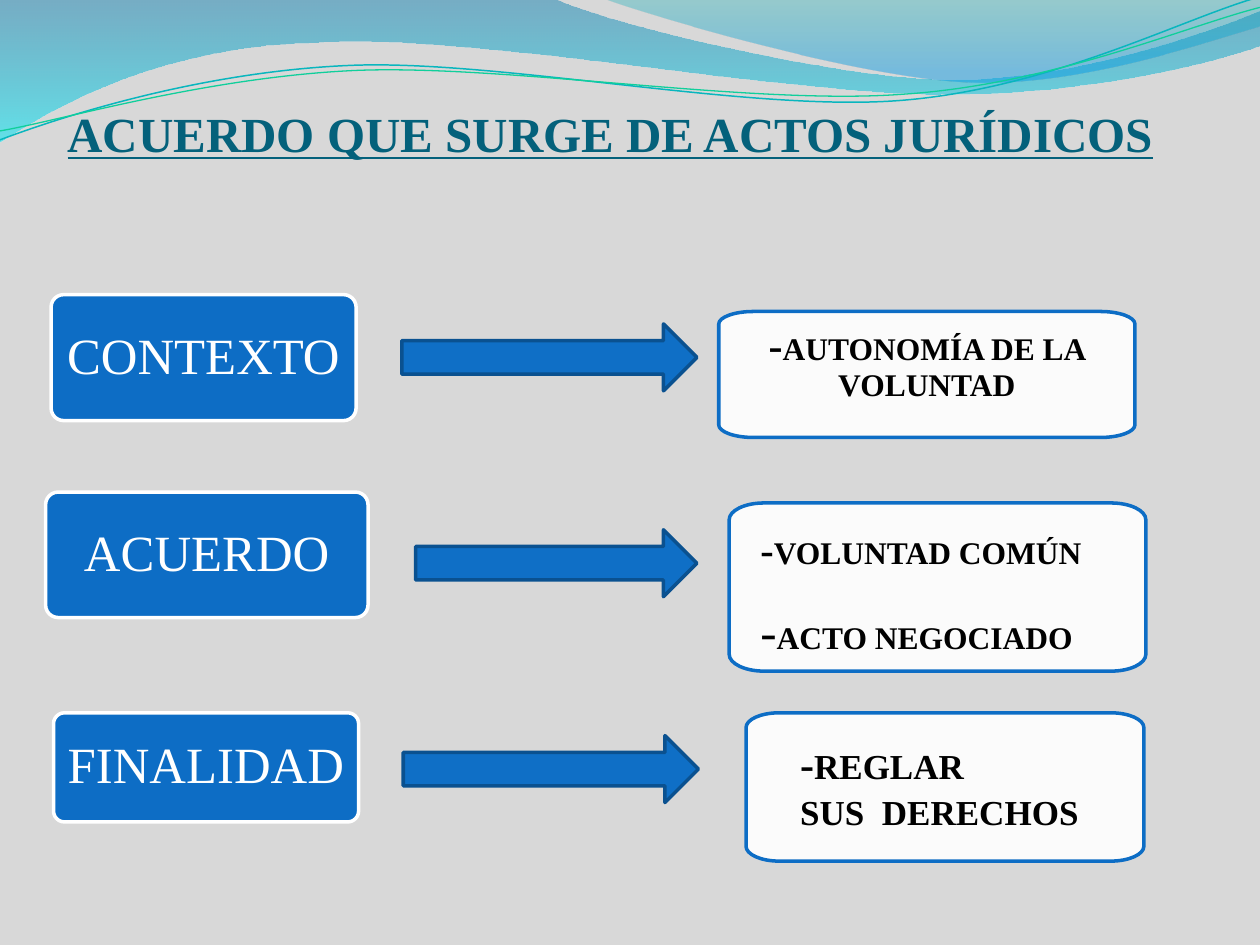
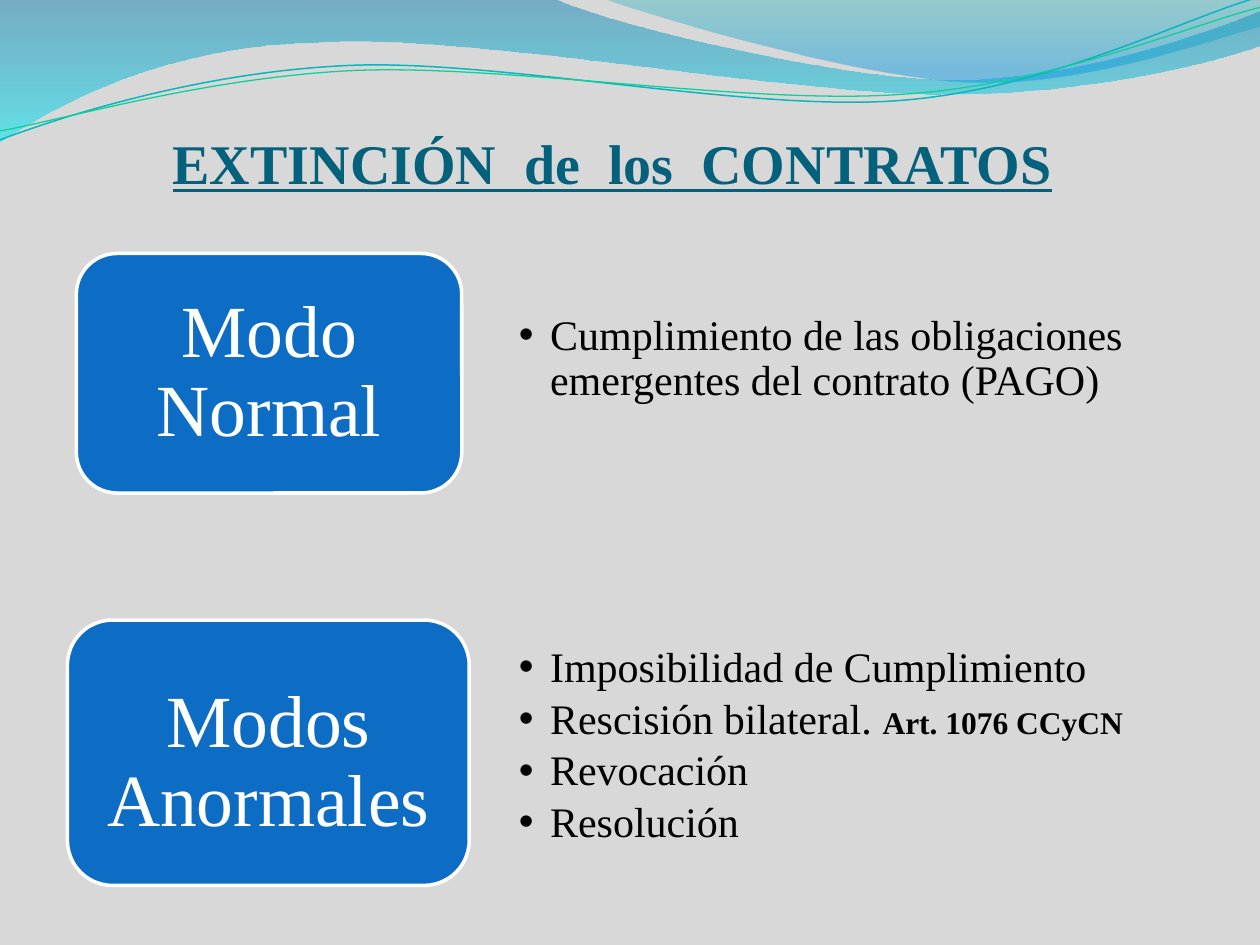
from dataclasses import dataclass

from lxml.etree import SubElement
from pptx import Presentation
from pptx.dml.color import RGBColor
from pptx.enum.shapes import MSO_SHAPE
from pptx.enum.text import MSO_ANCHOR, MSO_AUTO_SIZE, PP_ALIGN
from pptx.oxml.ns import qn
from pptx.util import Cm, Pt


@dataclass(frozen=True)
class Theme:
    font: str = "Times New Roman"
    background: str = "D8D8D8"
    title: str = "04617B"
    label: str = "0D6DC5"
    arrow: str = "0F6FC6"
    arrow_edge: str = "0A5190"
    white: str = "FFFFFF"
    text: str = "000000"
    edge: float = 2
    agreement_title: float = 28
    extinction_title: float = 32
    concept: float = 29
    mode: float = 42
    item: float = 24
    reference: float = 18
    goal: float = 20


THEME = Theme()


def trace_curves(shapes, start, segments, closed=True):
    """Draw an outline in cm; a segment is one point (line) or three (Bézier)."""
    builder = shapes.build_freeform(Cm(start[0]), Cm(start[1]))
    builder.add_line_segments(
        [(Cm(x), Cm(y)) for segment in segments for x, y in segment], close=closed)
    shape = builder.convert_to_shape()
    shape.shadow.inherit = False
    outline = next(shape.element.spPr.iter(qn("a:path")))
    steps = iter(outline.findall(qn("a:lnTo")))
    for segment in segments:
        taken = [next(steps) for _ in segment]
        if len(taken) == 3:
            curve = SubElement(outline, qn("a:cubicBezTo"))
            taken[0].addprevious(curve)
            for step in taken:
                curve.append(step[0])
                outline.remove(step)
    return shape


def write_runs(paragraph, runs, color, align=PP_ALIGN.LEFT, spacing=0.9, before=0):
    """Fill a paragraph with (text, size, bold) runs."""
    paragraph.alignment = align
    paragraph.line_spacing = spacing
    paragraph.space_before = Pt(before)
    for text, size, bold in runs:
        run = paragraph.add_run()
        run.text = text
        run.font.name = THEME.font
        run.font.size = Pt(size)
        run.font.bold = bold
        run.font.color.rgb = RGBColor.from_string(color)


prs = Presentation()
prs.slide_width, prs.slide_height = Cm(25.4), Cm(19.05)
master = prs.slide_master
master.background.fill.solid()
master.background.fill.fore_color.rgb = RGBColor.from_string(THEME.background)
agreement = prs.slides.add_slide(prs.slide_layouts.get_by_name("Title Only"))
extinction = prs.slides.add_slide(prs.slide_layouts.get_by_name("Two Content"))

# Waves shared through the master: start, segments, gradient stops or line
bands = [
    ((0, 0), [
        ((11.18, -0.02),),
        ((12.09, 0.43), (16.87, 1.6), (19.25, 1.6)),
        ((21.67, 1.6), (24.33, 0.66), (25.4, 0.23)),
        ((25.43, 0.91),),
        ((24.97, 1.12), (22.1, 1.93), (18.95, 1.9)),
        ((15.8, 1.9), (9.7, 0.71), (6.53, 0.86)),
        ((3.28, 0.91), (1.17, 2.11), (-0.02, 2.87)),
    ], [(0, "0079AD", 45), (1, "00E9F7", 55)]),
    ((12.17, -0.02), [
        ((12.93, 0.28), (17.32, 1.57), (19.53, 1.65)),
        ((21.74, 1.75), (24.41, 0.81), (25.4, 0.53)),
        ((25.4, 0),),
    ], [(0, "00ABB4", 30), (0.8, "0099E4", 45)]),
]
strands = [
    ((0, 2.82), [
        ((1.22, 2.36), (4.01, 1.45), (7.04, 1.32)),
        ((10.03, 1.19), (15.06, 2.26), (18.11, 2.03)),
        ((21.16, 1.8), (23.83, 0.38), (25.35, -0.05)),
    ], "09B6BE", 0.85),
    ((0, 2.64), [
        ((1.19, 2.44), (4.17, 1.55), (7.19, 1.42)),
        ((10.24, 1.3), (15.16, 2.13), (18.21, 1.9)),
        ((21.23, 1.7), (23.9, 0.53), (25.4, 0.15)),
    ], "10CF9B", 0.75),
]
waves = []
for start, segments, stops in bands:
    band = trace_curves(agreement.shapes, start, segments)
    band.line.fill.background()
    band.fill.gradient()
    band.fill.gradient_angle = 270
    for stop, (position, color, _) in zip(band.fill.gradient_stops, stops):
        stop.position = position
        stop.color.rgb = RGBColor.from_string(color)
    tints = list(band.element.spPr.iter(qn("a:srgbClr")))
    for tint, (_, _, opacity) in zip(tints, stops):
        SubElement(tint, qn("a:alpha"), val=str(opacity * 1000))
    waves.append(band)
for start, segments, color, width in strands:
    strand = trace_curves(agreement.shapes, start, segments, closed=False)
    strand.fill.background()
    strand.line.color.rgb = RGBColor.from_string(color)
    strand.line.width = Pt(width)
    waves.append(strand)
for index, wave in enumerate(waves):
    wave.element.nvSpPr.cNvPr.id = 100 + index
    master.element.cSld.spTree.insert(2 + index, wave.element)

# Titles
for slide, heading, size, anchor, left, top, width, height in [
    (agreement, "ACUERDO QUE SURGE DE ACTOS JURÍDICOS", THEME.agreement_title,
     MSO_ANCHOR.TOP, 0.3, 1.96, 24, 3),
    (extinction, "EXTINCIÓN  de  los  CONTRATOS", THEME.extinction_title,
     MSO_ANCHOR.BOTTOM, 0, 0.76, 24.69, 3.18),
]:
    title = slide.shapes.title
    title.left, title.top, title.width, title.height = map(Cm, (left, top, width, height))
    frame = title.text_frame
    frame.auto_size = MSO_AUTO_SIZE.NONE
    frame.vertical_anchor = anchor
    frame.margin_left = frame.margin_right = frame.margin_bottom = 0
    frame.margin_top = Cm(0.13)
    write_runs(frame.paragraphs[0], [(heading, size, True)], THEME.title,
               PP_ALIGN.CENTER, 1.0)
    frame.paragraphs[0].runs[0].font.underline = True

# Blue labels of both slides; drop lowers the text within its label
for slide, name, size, radius, drop, left, top, width, height in [
    (agreement, "CONTEXTO", THEME.concept, 0.1, 0, 1.03, 5.94, 6.15, 2.54),
    (agreement, "ACUERDO", THEME.concept, 0.1, 0, 0.92, 9.92, 6.5, 2.53),
    (agreement, "FINALIDAD", THEME.concept, 0.1, 0, 1.08, 14.37, 6.15, 2.2),
    (extinction, "Modo Normal", THEME.mode, 0.17, 0, 1.54, 5.11, 7.77, 4.83),
    (extinction, "Modos Anormales", THEME.mode, 0.17, 0.43, 1.36, 12.5, 8.1, 5.35),
]:
    label = slide.shapes.add_shape(
        MSO_SHAPE.ROUNDED_RECTANGLE, *map(Cm, (left, top, width, height)))
    label.adjustments[0] = radius
    label.shadow.inherit = False
    label.fill.solid()
    label.fill.fore_color.rgb = RGBColor.from_string(THEME.label)
    label.line.color.rgb = RGBColor.from_string(THEME.white)
    label.line.width = Pt(THEME.edge)
    frame = label.text_frame
    frame.word_wrap = True
    frame.vertical_anchor = MSO_ANCHOR.MIDDLE
    frame.margin_left = frame.margin_right = frame.margin_bottom = Cm(0.13)
    frame.margin_top = Cm(0.13 + drop)
    write_runs(frame.paragraphs[0], [(name, size, False)], THEME.white, PP_ALIGN.CENTER)

# Arrows from each concept to its meaning
for left, top, width in [(8.1, 6.53, 5.95), (8.38, 10.68, 5.67), (8.13, 14.83, 5.95)]:
    arrow = agreement.shapes.add_shape(
        MSO_SHAPE.RIGHT_ARROW, Cm(left), Cm(top), Cm(width), Cm(1.35))
    arrow.shadow.inherit = False
    arrow.fill.solid()
    arrow.fill.fore_color.rgb = RGBColor.from_string(THEME.arrow)
    arrow.line.color.rgb = RGBColor.from_string(THEME.arrow_edge)
    arrow.line.width = Pt(THEME.edge)

# Meanings: left, top, width, height, text inset, alignment, (space before, runs)
for left, top, width, height, inset, align, lines in [
    (14.49, 6.28, 8.39, 2.54, (0.25, 0.25), PP_ALIGN.CENTER, [
        (0, [("-", 24, True), ("AUTONOMÍA DE LA VOLUNTAD", THEME.reference, True)])]),
    (14.7, 10.14, 8.4, 3.39, (0.63, 0.54), PP_ALIGN.LEFT, [
        (0, [("-", 23, True), ("VOLUNTAD COMÚN", THEME.reference, True)]),
        (19.2, [("-", 28, False), ("ACTO NEGOCIADO", THEME.reference, True)])]),
    (15.04, 14.37, 8.02, 2.99, (1.09, 0.62), PP_ALIGN.LEFT, [
        (3.6, [("-", 24, True), ("REGLAR", THEME.goal, True)]),
        (3.6, [("SUS  DERECHOS", THEME.goal, True)])]),
]:
    right, bottom = left + width, top + height
    rx, ry = width / 12, height / 10
    kx, ky = 0.45 * rx, 0.45 * ry
    meaning = trace_curves(agreement.shapes, (left, top + ry), [
        ((left, top + ky), (left + kx, top), (left + rx, top)),
        ((right - rx, top),),
        ((right - kx, top), (right, top + ky), (right, top + ry)),
        ((right, bottom - ry),),
        ((right, bottom - ky), (right - kx, bottom), (right - rx, bottom)),
        ((left + rx, bottom),),
        ((left + kx, bottom), (left, bottom - ky), (left, bottom - ry)),
    ])
    meaning.fill.solid()
    meaning.fill.fore_color.rgb = RGBColor.from_string(THEME.white)
    SubElement(next(meaning.element.spPr.iter(qn("a:srgbClr"))), qn("a:alpha"), val="90000")
    meaning.line.color.rgb = RGBColor.from_string(THEME.label)
    meaning.line.width = Pt(THEME.edge)
    frame = meaning.text_frame
    frame.word_wrap = True
    frame.vertical_anchor = MSO_ANCHOR.TOP
    frame.margin_left, frame.margin_top = map(Cm, inset)
    frame.margin_right = Cm(0.25)
    for index, (before, runs) in enumerate(lines):
        paragraph = frame.add_paragraph() if index else frame.paragraphs[0]
        write_runs(paragraph, runs, THEME.text, align, before=before)

# Ways in which contracts end
for holder, left, top, width, items in [
    (1, 10.41, 6.28, 12.6, [
        [("Cumplimiento de las obligaciones emergentes del contrato (PAGO)",
          THEME.item, False)]]),
    (2, 10.41, 12.98, 13.77, [
        [("Imposibilidad de Cumplimiento", THEME.item, False)],
        [("Rescisión bilateral. ", THEME.item, False),
         ("Art. 1076 CCyCN", THEME.reference, True)],
        [("Revocación", THEME.item, False)],
        [("Resolución", THEME.item, False)]]),
]:
    ways = extinction.placeholders[holder]
    ways.left, ways.top, ways.width, ways.height = map(Cm, (left, top, width, 4.83))
    frame = ways.text_frame
    frame.auto_size = MSO_AUTO_SIZE.NONE
    frame.vertical_anchor = MSO_ANCHOR.TOP
    frame.margin_left = frame.margin_right = Cm(0.05)
    frame.margin_top = frame.margin_bottom = Cm(0.05)
    for index, runs in enumerate(items):
        paragraph = frame.add_paragraph() if index else frame.paragraphs[0]
        write_runs(paragraph, runs, THEME.text, before=3.6 if index else 0)
        properties = paragraph._p.get_or_add_pPr()
        properties.set("marL", str(Cm(0.63)))
        properties.set("indent", str(-Cm(0.63)))
        SubElement(properties, qn("a:buChar"), char="•")

prs.save("out.pptx")
